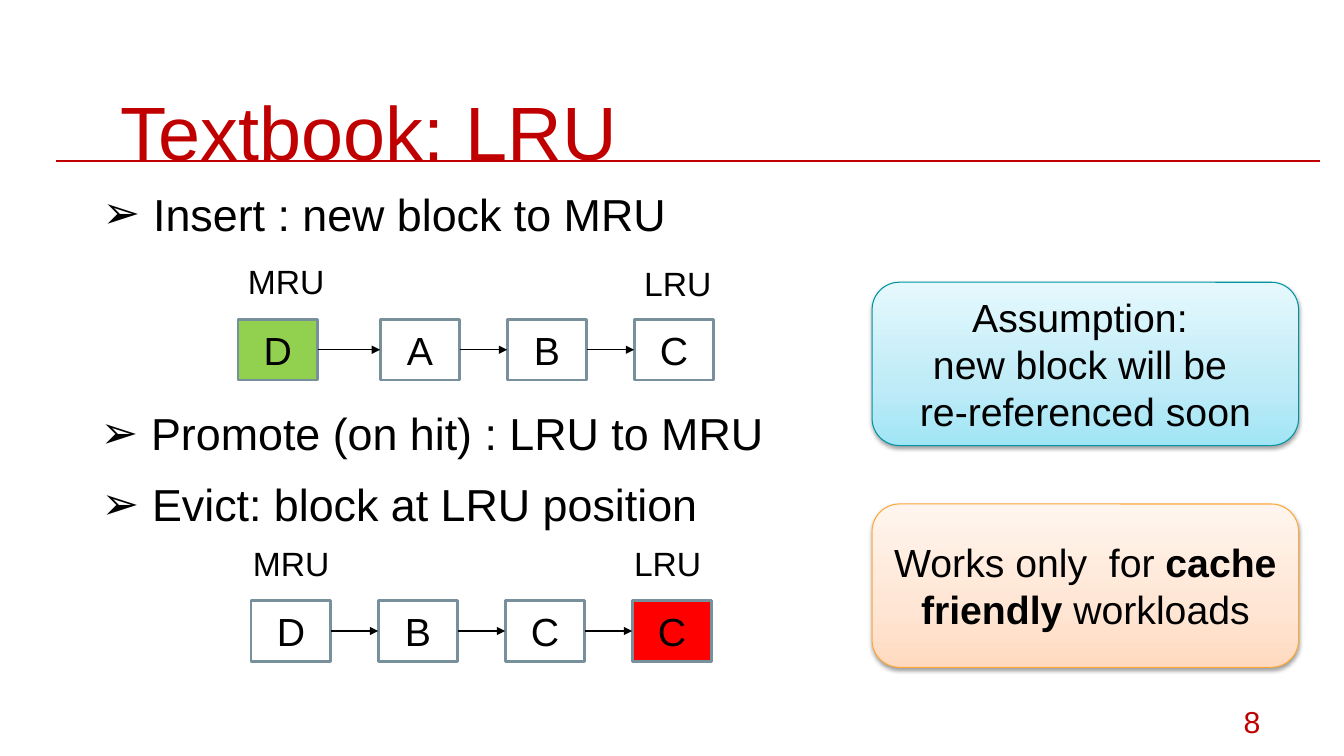
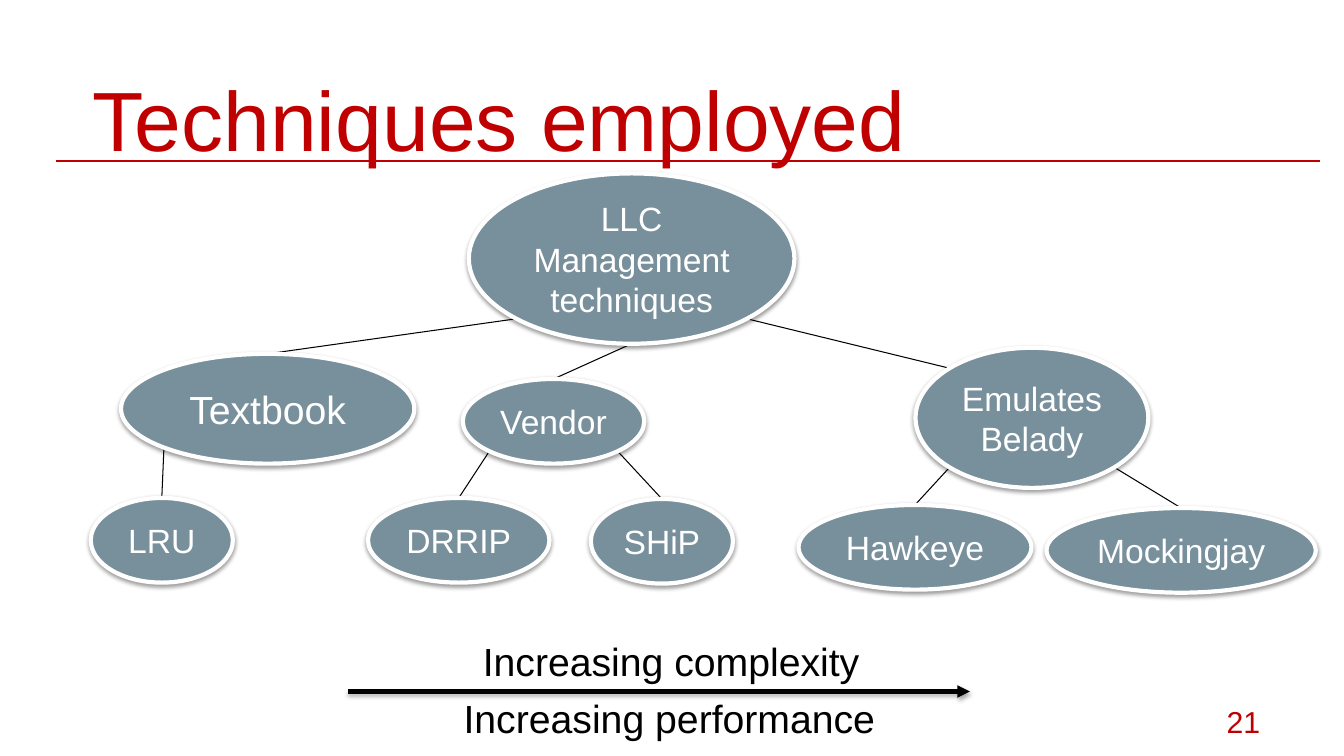
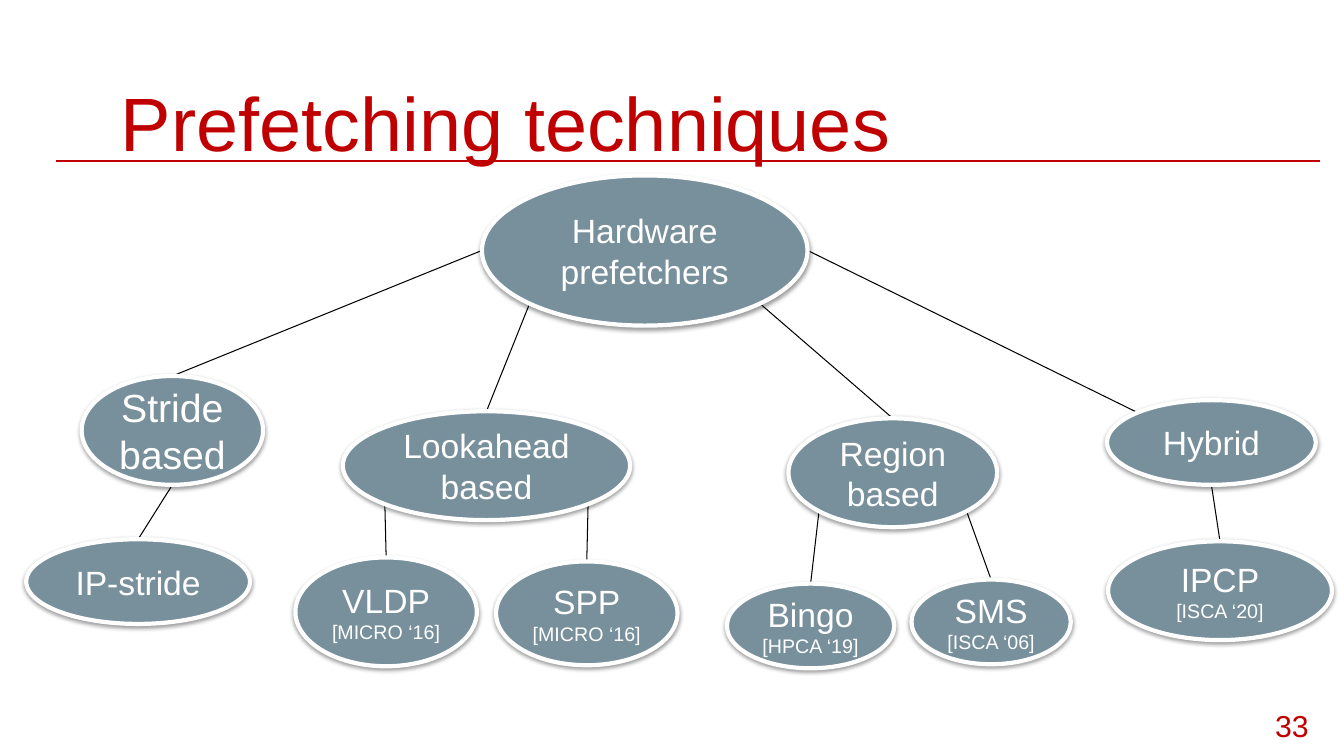
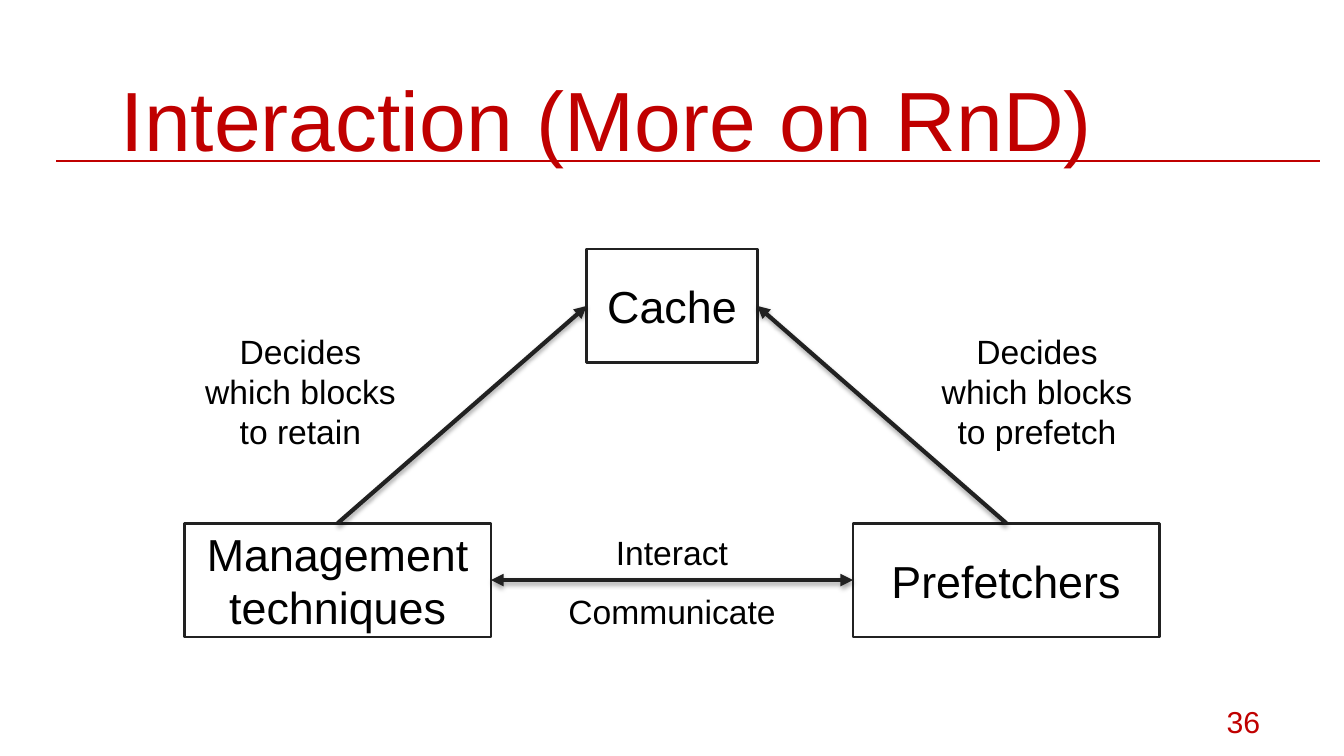
from lxml import etree
from pptx import Presentation
from pptx.dml.color import RGBColor as RGB
from pptx.enum.shapes import MSO_CONNECTOR as CXN, MSO_SHAPE as SHP
from pptx.enum.text import MSO_ANCHOR as ANC, MSO_AUTO_SIZE as FIT, PP_ALIGN as AL
from pptx.oxml.ns import qn
from pptx.util import Inches, Pt

COL = {"red": "C00000", "black": "000000", "white": "FFFFFF", "slate": "78909C",
       "dark": "212121", "new": "92D050", "evict": "FF0000",
       "teal": "0094A3", "orange": "FEA83A"}
BLUE_STOPS = ((0, "A0E5F5"), (35, "BEEBF7"), (100, "E5F8FD"))
PEACH_STOPS = ((0, "FFDAC0"), (35, "FFE5D3"), (100, "FFF5EE"))
FONT = "Arial"
SHAPE_SHADOW = {"blurRad": 40000, "dist": 20000, "alpha": 38000}
LINE_SHADOW = {"blurRad": 40000, "dist": 23000, "alpha": 35000}
TIGHT = {"margin_left": Inches(0.12), "margin_right": Inches(0.12),
         "margin_top": Inches(0.12), "margin_bottom": Inches(0.12)}
TITLE_FRAME = {**TIGHT, "margin_top": Inches(0.2), "word_wrap": True,
               "auto_size": FIT.NONE, "vertical_anchor": ANC.TOP}
NUMBER_FRAME = {**TIGHT, "word_wrap": True, "vertical_anchor": ANC.MIDDLE}
SHAPE_FRAME = {"word_wrap": True, "vertical_anchor": ANC.MIDDLE}
GROW_FRAME = {"word_wrap": True, "auto_size": FIT.SHAPE_TO_FIT_TEXT}
LABEL_FRAME = {"word_wrap": False, "auto_size": FIT.SHAPE_TO_FIT_TEXT}

NEAR, FAR = 0.1464, 0.8536
SITES = {"top": (0.5, 0), "top left": (NEAR, NEAR), "left": (0, 0.5),
         "bottom left": (NEAR, FAR), "bottom": (0.5, 1),
         "bottom right": (FAR, FAR), "right": (1, 0.5)}


def rgb(name):
    return RGB.from_string(COL[name])


def apply(obj, values):
    for k, v in values.items():
        setattr(obj, k, v)


def inches(values):
    return [Inches(v) for v in values]


def sub(parent, tag, **attrs):
    return etree.SubElement(parent, qn(tag), {k: str(v) for k, v in attrs.items()})


def write(tf, paras, size, color="black", align=AL.LEFT, frame=None):
    apply(tf, frame or {})
    for i, para in enumerate(paras):
        p = tf.add_paragraph() if i else tf.paragraphs[0]
        p.alignment = align
        text, sz = para if isinstance(para, tuple) else (para, size)
        for part, bold in text if isinstance(text, list) else [(text, False)]:
            r = p.add_run()
            r.text = part
            apply(r.font, {"name": FONT, "size": Pt(sz), "bold": bold})
            r.font.color.rgb = rgb(color)


def add_text(s, box, text, size, frame=LABEL_FRAME, **style):
    tf = s.shapes.add_textbox(*inches(box)).text_frame
    write(tf, [text], size, frame=frame, **style)
    return tf


def cast_shadow(effects, shadow):
    shade = sub(effects, "a:outerShdw", blurRad=shadow["blurRad"], dist=shadow["dist"],
                dir=5400000, rotWithShape=0)
    sub(sub(shade, "a:srgbClr", val=COL["black"]), "a:alpha", val=shadow["alpha"])


def add_box(s, kind, box, paras, size, fill, line, width, color="black", shadow=None):
    sp = s.shapes.add_shape(kind, *inches(box))
    if isinstance(fill, str):
        sp.fill.solid()
        sp.fill.fore_color.rgb = rgb(fill)
    else:
        sp.fill.gradient()
        sp.fill.gradient_angle = 90
        stops = sp.element.spPr.find(qn("a:gradFill")).find(qn("a:gsLst"))
        for old in list(stops):
            stops.remove(old)
        for pos, value in fill:
            sub(sub(stops, "a:gs", pos=pos * 1000), "a:srgbClr", val=value)
    sp.line.color.rgb = rgb(line)
    sp.line.width = Pt(width)
    sp.shadow.inherit = False
    if shadow:
        cast_shadow(sp.element.spPr.find(qn("a:effectLst")), shadow)
    write(sp.text_frame, paras, size, color, AL.CENTER, SHAPE_FRAME)
    return sp


def add_line(s, start=(0, 0), end=(0, 0), color="black", width=0.75, heads=(),
             shadow=None, join=None):
    c = s.shapes.add_connector(CXN.STRAIGHT, *inches((*start, *end)))
    if join:
        (first, first_side), (last, last_side) = join
        c.begin_connect(first, first_side)
        c.end_connect(last, last_side)
    c.line.color.rgb = rgb(color)
    c.line.width = Pt(width)
    spPr = c.element.spPr
    for head in heads:
        sub(spPr.find(qn("a:ln")), head, type="triangle")
    effects = sub(spPr, "a:effectLst")
    if shadow:
        cast_shadow(effects, shadow)
    return c


def add_rule(s):
    rule = add_line(s, (0.56, 1.6), (13.09, 1.6), "red", 1.5)
    s.slide_layout.shapes.element.append(rule.element)


def add_slide(prs, title, number, box, size, number_at=(11.77, 6.87)):
    s = prs.slides.add_slide(prs.slide_layouts[5])
    ph = s.shapes.title
    apply(ph, dict(zip(("left", "top", "width", "height"), inches(box))))
    write(ph.text_frame, [title], size, "red", frame=TITLE_FRAME)
    add_text(s, (*number_at, 0.85, 0.57), number, 21.6, NUMBER_FRAME,
             color="red", align=AL.RIGHT)
    return s


def add_bullet(s, x, y, text):
    tf = add_text(s, (x, y, 7.45, 0.64), text, 32, GROW_FRAME)
    pPr = tf.paragraphs[0]._p.get_or_add_pPr()
    apply_indent = {"marL": Inches(0.5), "indent": -Inches(0.5)}
    for k, v in apply_indent.items():
        pPr.set(k, str(int(v)))
    sub(sub(pPr, "a:buClr"), "a:srgbClr", val=COL["black"])
    sub(pPr, "a:buFont", typeface=FONT)
    sub(pPr, "a:buChar", char="➢")


def add_chain(s, x, y, blocks, ends, first_step=1.26):
    prev = None
    for i, (name, fill) in enumerate(blocks):
        left = x + (first_step + (i - 1) * 1.26 if i else 0)
        sp = add_box(s, SHP.RECTANGLE, (left, y, 0.79, 0.6), [name], 28, fill, "slate", 2)
        if prev is not None:
            add_line(s, heads=["a:tailEnd"], join=((prev, 3), (sp, 1)))
        prev = sp
    for name, width, dx, dy in ends:
        add_text(s, (x + dx, y + dy, width, 0.5), name, 24)


def add_callout(s, y, paras, stops, line):
    add_box(s, SHP.ROUNDED_RECTANGLE, (8.65, y, 4.23, 1.62), paras, 28, stops, line,
            0.75, shadow=SHAPE_SHADOW)


def site(box, name):
    x, y, w, h = box
    fx, fy = SITES[name]
    return x + w * fx, y + h * fy


def add_tree(s, nodes, edges):
    for parent, leave, child, *arrive in edges:
        add_line(s, site(nodes[parent][0], leave),
                 site(nodes[child][0], arrive[0] if arrive else "top"))
    for name, (box, *extra) in nodes.items():
        add_box(s, SHP.OVAL, box, [name, *extra] if not extra or extra[0] != 28
                else [(name, 28)], 24, "slate", "white", 3, "white", SHAPE_SHADOW)


def lru_slide(prs):
    s = add_slide(prs, "Textbook: LRU", "8", (1.08, 0.64, 11.18, 0.84), 54)
    add_rule(s)
    add_bullet(s, 0.92, 1.8, "Insert : new block to MRU")
    add_chain(s, 2.36, 3.17,
              [("D", "new"), ("A", "white"), ("B", "white"), ("C", "white")],
              [("MRU", 0.97, 0, -0.63), ("LRU", 0.88, 3.93, -0.61)], 1.41)
    add_bullet(s, 0.9, 3.98, "Promote (on hit) : LRU to MRU")
    add_bullet(s, 0.91, 4.68, "Evict: block at LRU position")
    add_chain(s, 2.49, 5.96,
              [("D", "white"), ("B", "white"), ("C", "white"), ("C", "evict")],
              [("MRU", 0.97, -0.08, -0.62), ("LRU", 0.88, 3.7, -0.62)])
    add_callout(s, 2.8, ["Assumption: ", "new block will be ", "re-referenced soon"],
                BLUE_STOPS, "teal")
    works = [("Works only  for ", False), ("cache friendly", True), (" workloads", False)]
    add_callout(s, 5, [works], PEACH_STOPS, "orange")


def techniques_slide(prs):
    s = add_slide(prs, "Techniques employed", "21", (0.8, 0.47, 11.18, 0.84), 60)
    root = "LLC Management techniques"
    nodes = {
        root: [(4.65, 1.72, 3.23, 1.69)],
        "Textbook": [(1.2, 3.51, 2.91, 1.09), 28],
        "LRU": [(0.9, 4.94, 1.41, 0.84)],
        "Vendor": [(4.59, 3.76, 1.8, 0.84)],
        "DRRIP": [(3.65, 4.94, 1.8, 0.84)],
        "SHiP": [(5.86, 4.95, 1.41, 0.84)],
        "Emulates Belady": [(9.08, 3.45, 2.31, 1.39)],
        "Mockingjay": [(10.38, 5.04, 2.67, 0.84)],
        "Hawkeye": [(7.92, 5.01, 2.31, 0.84)],
    }
    add_tree(s, nodes, [
        (root, "bottom left", "Textbook"),
        (root, "bottom", "Vendor"),
        (root, "bottom right", "Emulates Belady", "top left"),
        ("Textbook", "bottom left", "LRU"),
        ("Vendor", "bottom left", "DRRIP"),
        ("Vendor", "bottom right", "SHiP"),
        ("Emulates Belady", "bottom left", "Hawkeye"),
        ("Emulates Belady", "bottom right", "Mockingjay"),
    ])
    add_line(s, (3.45, 6.86), (9.62, 6.86), "black", 3, ["a:tailEnd"], LINE_SHADOW)
    add_text(s, (4.69, 6.27, 3.99, 0.57), "Increasing complexity", 28)
    add_text(s, (4.5, 6.84, 4.34, 0.57), "Increasing performance", 28)


def prefetching_slide(prs):
    s = add_slide(prs, "Prefetching techniques", "33", (1.08, 0.55, 11.54, 0.84), 54,
                  (12.25, 6.91))
    root = "Hardware prefetchers"
    nodes = {
        root: [(4.78, 1.74, 3.23, 1.49)],
        "Stride based": [(0.81, 3.73, 1.8, 1.08), 28],
        "IP-stride": [(0.26, 5.35, 2.22, 0.84)],
        "Lookahead based": [(3.4, 4.08, 2.85, 1.08)],
        "VLDP": [(2.93, 5.53, 1.8, 1.08), ("[MICRO ‘16]", 14)],
        "SPP": [(4.92, 5.57, 1.8, 1.03), ("[MICRO ‘16]", 14)],
        "Region based": [(7.82, 4.15, 2.07, 1.08)],
        "Bingo": [(7.21, 5.79, 1.66, 0.84), ("[HPCA ‘19]", 14)],
        "SMS": [(9.04, 5.75, 1.58, 0.84), ("[ISCA ‘06]", 14)],
        "Hybrid": [(10.98, 3.97, 2.07, 0.84)],
        "IPCP": [(10.99, 5.37, 2.22, 0.98), ("[ISCA ‘20]", 14)],
    }
    add_tree(s, nodes, [
        (root, "left", "Stride based"),
        (root, "bottom left", "Lookahead based"),
        (root, "bottom right", "Region based"),
        (root, "right", "Hybrid", "top left"),
        ("Stride based", "bottom", "IP-stride"),
        ("Lookahead based", "bottom left", "VLDP"),
        ("Lookahead based", "bottom right", "SPP"),
        ("Region based", "bottom left", "Bingo"),
        ("Region based", "bottom right", "SMS"),
        ("Hybrid", "bottom", "IPCP"),
    ])


def interaction_slide(prs):
    s = add_slide(prs, "Interaction (More on RnD)", "36", (1.08, 0.47, 11.54, 0.84), 60)
    cache, management, prefetchers = [
        add_box(s, SHP.RECTANGLE, (x, y, w, 1.13), [name], 32, "white", "dark", 2)
        for name, x, y, w in (("Cache", 5.82, 2.47, 1.69),
                              ("Management techniques", 1.83, 5.19, 3.04),
                              ("Prefetchers", 8.46, 5.19, 3.04))]
    for start, end, heads in (
            ((management, 0), (cache, 1), ["a:tailEnd"]),
            ((prefetchers, 0), (cache, 3), ["a:tailEnd"]),
            ((management, 3), (prefetchers, 1), ["a:headEnd", "a:tailEnd"])):
        add_line(s, color="dark", width=3, heads=heads, shadow=LINE_SHADOW,
                 join=(start, end))
    for text, box in (("Decides which blocks to retain", (1.83, 3.23, 2.3, 1.31)),
                      ("Decides which blocks to prefetch", (9.21, 3.23, 2.15, 1.31)),
                      ("Interact", (5.13, 5.23, 3.07, 0.5)),
                      ("Communicate", (5.13, 5.81, 3.07, 0.5))):
        add_text(s, box, text, 24, GROW_FRAME, align=AL.CENTER)


def main():
    prs = Presentation()
    prs.slide_width, prs.slide_height = inches((13.33, 7.5))
    for build in (lru_slide, techniques_slide, prefetching_slide, interaction_slide):
        build(prs)
    prs.save("out.pptx")


if __name__ == "__main__":
    main()
